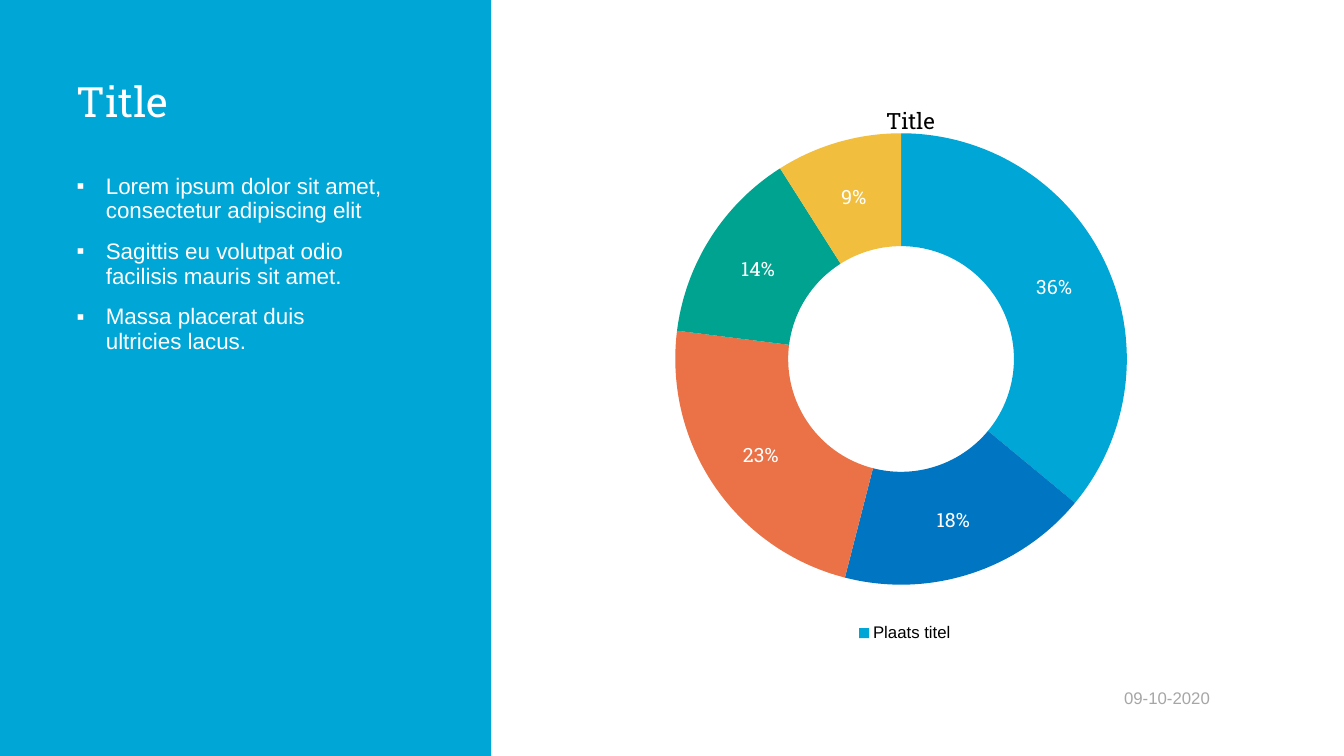
from pptx import Presentation
from pptx.chart.data import CategoryChartData
from pptx.dml.color import RGBColor
from pptx.enum.chart import XL_CHART_TYPE, XL_LEGEND_POSITION
from pptx.enum.shapes import MSO_SHAPE
from pptx.enum.text import MSO_ANCHOR, PP_ALIGN
from pptx.oxml import parse_xml
from pptx.oxml.ns import nsdecls, qn
from pptx.util import Inches, Pt

DOUGHNUT = XL_CHART_TYPE.DOUGHNUT
BOTTOM = XL_LEGEND_POSITION.BOTTOM
RECTANGLE = MSO_SHAPE.RECTANGLE
TOP, MIDDLE = MSO_ANCHOR.TOP, MSO_ANCHOR.MIDDLE
LEFT, RIGHT = PP_ALIGN.LEFT, PP_ALIGN.RIGHT

CYAN = RGBColor(0x00, 0xA6, 0xD6)
BLUE = RGBColor(0x00, 0x76, 0xC2)
ORANGE = RGBColor(0xEB, 0x72, 0x46)
GREEN = RGBColor(0x00, 0xA3, 0x90)
YELLOW = RGBColor(0xF1, 0xBE, 0x3E)
WHITE = RGBColor(0xFF, 0xFF, 0xFF)
BLACK = RGBColor(0x00, 0x00, 0x00)
GREY = RGBColor(0xA6, 0xA6, 0xA6)

SANS, SLAB = "Arial", "Roboto Slab"
INDENT = Inches(0.29)
BULLETS = [
    "Lorem ipsum dolor sit amet, consectetur adipiscing elit",
    "Sagittis eu volutpat odio\vfacilisis mauris sit amet.",
    "Massa placerat duis\vultricies lacus.",
]
SLICES = [
    ("Plaats titel", 36, CYAN),
    ("2", 18, BLUE),
    ("3", 23, ORANGE),
    ("4", 14, GREEN),
    ("5", 9, YELLOW),
]


def inside(box, x, y, w, h):
    """Return the part of a box given in percent of its size."""
    left, top, width, height = box
    return (int(left + width * x / 100), int(top + height * y / 100),
            int(width * w / 100), int(height * h / 100))


def set_font(font, name, size, color):
    """Format a font."""
    font.name, font.size, font.bold = name, Pt(size), False
    font.color.rgb = color


def add_bullet(p):
    """Give a paragraph a hanging square bullet."""
    pPr = p._p.get_or_add_pPr()
    pPr.set("marL", str(INDENT))
    pPr.set("indent", str(-INDENT))
    pPr.append(parse_xml(f'<a:buClr {nsdecls("a")}><a:srgbClr val="{WHITE}"/></a:buClr>'))
    pPr.append(parse_xml(f'<a:buFont {nsdecls("a")} typeface="{SANS}"/>'))
    pPr.append(parse_xml(f'<a:buChar {nsdecls("a")} char="▪"/>'))


def add_text(s, box, lines, font=SANS, size=12, color=WHITE, align=LEFT,
             anchor=TOP, spacing=1.0, before=0, bullet=False):
    """Add a text box with one paragraph for each line."""
    tf = s.shapes.add_textbox(*box).text_frame
    tf.word_wrap = True
    tf.vertical_anchor = anchor
    tf.margin_left = tf.margin_right = tf.margin_top = tf.margin_bottom = 0
    for i, line in enumerate(lines):
        p = tf.add_paragraph() if i else tf.paragraphs[0]
        p.text = line
        p.alignment = align
        p.line_spacing = spacing
        p.space_before = Pt(before if i else 0)
        if bullet:
            add_bullet(p)
        for r in p.runs:
            set_font(r.font, font, size, color)


def add_panel(s, box):
    """Draw the coloured panel with its title and bullets."""
    sp = s.shapes.add_shape(RECTANGLE, *box)
    sp.shadow.inherit = False
    sp.fill.solid()
    sp.fill.fore_color.rgb = CYAN
    sp.line.fill.background()
    add_text(s, inside(box, 15.6, 10.8, 70.5, 7.2), ["Title"],
             font=SLAB, size=29.8, spacing=0.9)
    add_text(s, inside(box, 15.6, 23.2, 70.5, 63.5), BULLETS,
             size=16, spacing=0.9, before=12, bullet=True)


def set_layout(element, index, target="", **shares):
    """Place a chart part by shares of the chart."""
    for old in element.findall(qn("c:layout")):
        element.remove(old)
    layout = f'<c:layoutTarget val="{target}"/>' if target else ""
    layout += '<c:xMode val="edge"/><c:yMode val="edge"/>'
    layout += "".join(f'<c:{tag} val="{val}"/>' for tag, val in shares.items())
    element.insert(index, parse_xml(
        f'<c:layout {nsdecls("c")}><c:manualLayout>{layout}'
        '</c:manualLayout></c:layout>'))


def add_chart_title(chart):
    """Put the title above the ring."""
    chart.has_title = True
    title = chart.chart_title
    r = title.text_frame.paragraphs[0].add_run()
    r.text = "Title"
    set_font(r.font, SLAB, 16, BLACK)
    title.include_in_layout = True
    set_layout(title._element, 1, x=0.47, y=0.02)


def add_legend(chart):
    """Show a legend with the first slice only."""
    chart.has_legend = True
    legend = chart.legend
    legend.position = BOTTOM
    legend.include_in_layout = True
    set_font(legend.font, SANS, 12, BLACK)
    position = legend._element.find(qn("c:legendPos"))
    for i in range(len(SLICES) - 1, 0, -1):
        position.addnext(parse_xml(
            f'<c:legendEntry {nsdecls("c")}><c:idx val="{i}"/>'
            '<c:delete val="1"/></c:legendEntry>'))


def add_doughnut(s, box):
    """Draw the doughnut chart with title, labels and legend."""
    names, values, colors = zip(*SLICES)
    data = CategoryChartData()
    data.categories = names
    data.add_series("Series 1", values)
    chart = s.shapes.add_chart(DOUGHNUT, *box, data).chart
    set_font(chart.font, "Roboto", 10, BLACK)
    plot = chart.plots[0]
    plot.vary_by_categories = True
    plot._element.find(qn("c:holeSize")).set("val", "60")
    series = plot.series[0]
    for i, color in enumerate(colors):
        fill = series.points[i].format.fill
        fill.solid()
        fill.fore_color.rgb = color
    labels = series.data_labels
    labels.show_percentage = True
    labels.show_value = False
    labels.number_format = "0%"
    labels.number_format_is_linked = False
    set_font(labels.font, SLAB, 14, WHITE)
    add_chart_title(chart)
    add_legend(chart)
    set_layout(chart._chartSpace.chart.plotArea, 0, "inner",
               x=0.19, y=0.08, w=0.61, h=0.81)


def main():
    """Build the slide and save it."""
    prs = Presentation()
    prs.slide_width, prs.slide_height = Inches(13.33), Inches(7.5)
    s = prs.slides.add_slide(prs.slide_layouts[6])
    page = (0, 0, prs.slide_width, prs.slide_height)
    add_panel(s, inside(page, 0, 0, 36.55, 100))
    add_doughnut(s, inside(page, 39.23, 11.73, 56.19, 73.73))
    add_text(s, inside(page, 80.35, 91.07, 9.68, 2.53), ["09-10-2020"],
             color=GREY, align=RIGHT, anchor=MIDDLE)
    prs.save("out.pptx")


if __name__ == "__main__":
    main()
